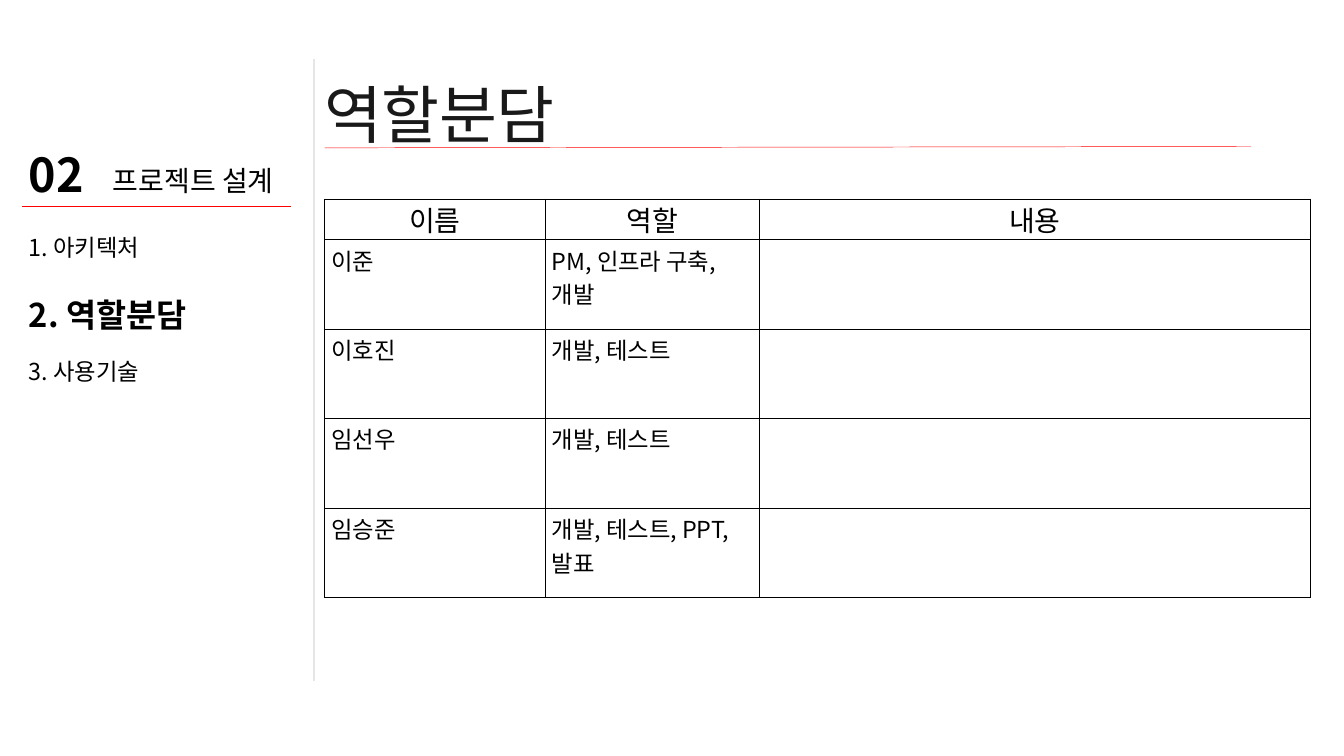
import pptx
import pptx.dml.color
import pptx.enum.shapes
import pptx.enum.text
import pptx.oxml
import pptx.oxml.ns
import pptx.util
from pptx.util import Inches

FONT = "Noto Sans CJK KR"
ALIGN = pptx.enum.text.PP_ALIGN


def color(hex_string):
    return pptx.dml.color.RGBColor.from_string(hex_string)


def write(text_frame, text, size, align=ALIGN.LEFT, bold=False, name=FONT, ink="000000"):
    """Fill the first paragraph, with the same font for Latin and Korean."""
    paragraph = text_frame.paragraphs[0]
    paragraph.alignment = align
    run = paragraph.add_run()
    run.text = text
    formats = {"size": pptx.util.Pt(size), "bold": bold, "name": name}
    for attribute, value in formats.items():
        setattr(run.font, attribute, value)
    run.font.color.rgb = color(ink)
    properties = run.font._element
    east_asian = properties.makeelement(pptx.oxml.ns.qn("a:ea"), {"typeface": FONT})
    properties.find(pptx.oxml.ns.qn("a:latin")).addnext(east_asian)
    return run


presentation = pptx.Presentation()
presentation.slide_width = Inches(20)
presentation.slide_height = Inches(11.25)
slide = presentation.slides.add_slide(presentation.slide_layouts[5])

# Divider and underlines
for x1, y1, x2, y2, ink, width in [
    (4.67, 0.88, 4.67, 10.13, "E7E6E6", 2.5),
    (0.33, 3.07, 4.33, 3.07, "FF0000", 0.5),
    (4.83, 2.2, 18.62, 2.18, "FF0000", 0.5),
]:
    line = slide.shapes.add_connector(
        pptx.enum.shapes.MSO_CONNECTOR.STRAIGHT,
        Inches(x1), Inches(y1), Inches(x2), Inches(y2))
    line.line.color.rgb = color(ink)
    line.line.width = pptx.util.Pt(width)
    properties = line._element.spPr
    properties.append(properties.makeelement(pptx.oxml.ns.qn("a:effectLst"), {}))

# Title
title = slide.shapes.title
title.left, title.top = Inches(4.83), Inches(1.12)
title.width, title.height = Inches(8.25), Inches(1.07)
frame_formats = {
    "margin_left": 0, "margin_right": 0, "margin_top": 0, "margin_bottom": 0,
    "vertical_anchor": pptx.enum.text.MSO_ANCHOR.TOP,
    "auto_size": pptx.enum.text.MSO_AUTO_SIZE.NONE,
}
for attribute, value in frame_formats.items():
    setattr(title.text_frame, attribute, value)
title_run = write(title.text_frame, "역할분담", 67.4, name="Arial", ink="191919")
title_run.font._element.set("spc", "-70")
title.text_frame.paragraphs[0].line_spacing = pptx.util.Pt(80.8)

# Section heading and contents in the sidebar
for text, left, top, width, height, size, bold, align in [
    ("프로젝트 설계", 1.25, 2.39, 2.92, 0.61, 30, False, ALIGN.RIGHT),
    ("02", 0.33, 2.12, 1.04, 0.94, 50, True, ALIGN.LEFT),
    ("1. 아키텍처", 0.33, 3.42, 3.17, 0.52, 25, False, ALIGN.LEFT),
    ("2. 역할분담", 0.33, 4.34, 3.54, 0.69, 35, True, ALIGN.LEFT),
    ("3. 사용기술", 0.33, 5.27, 4, 0.52, 25, False, ALIGN.LEFT),
]:
    box = slide.shapes.add_textbox(Inches(left), Inches(top), Inches(width), Inches(height))
    box.text_frame.word_wrap = True
    write(box.text_frame, text, size, align, bold)

# Role table
rows = [
    ("이름", "역할", "내용"),
    ("이준", "PM, 인프라 구축, 개발", ""),
    ("이호진", "개발, 테스트", ""),
    ("임선우", "개발, 테스트", ""),
    ("임승준", "개발, 테스트, PPT, 발표", ""),
]
table = slide.shapes.add_table(
    len(rows), 3, Inches(4.83), Inches(2.96), Inches(14.67), Inches(5.94)).table
table.first_row = table.horz_banding = False
for column, width in zip(table.columns, (3.28, 3.19, 8.2)):
    column.width = Inches(width)

for row_index, row in enumerate(rows):
    header = row_index == 0
    table.rows[row_index].height = Inches(0.61 if header else 1.33)
    for column_index, text in enumerate(row):
        cell = table.cell(row_index, column_index)
        cell.margin_top = cell.margin_bottom = Inches(0 if header else 0.05)
        if text:
            write(cell.text_frame, text, 30 if header else 25,
                  ALIGN.CENTER if header else ALIGN.LEFT)
        properties = cell._tc.get_or_add_tcPr()
        for side in ("lnL", "lnR", "lnT", "lnB"):
            properties.append(pptx.oxml.parse_xml(
                f'<a:{side} {pptx.oxml.ns.nsdecls("a")} w="12700"><a:solidFill>'
                f'<a:srgbClr val="000000"/></a:solidFill></a:{side}>'))
        cell.fill.background()

presentation.save("out.pptx")
